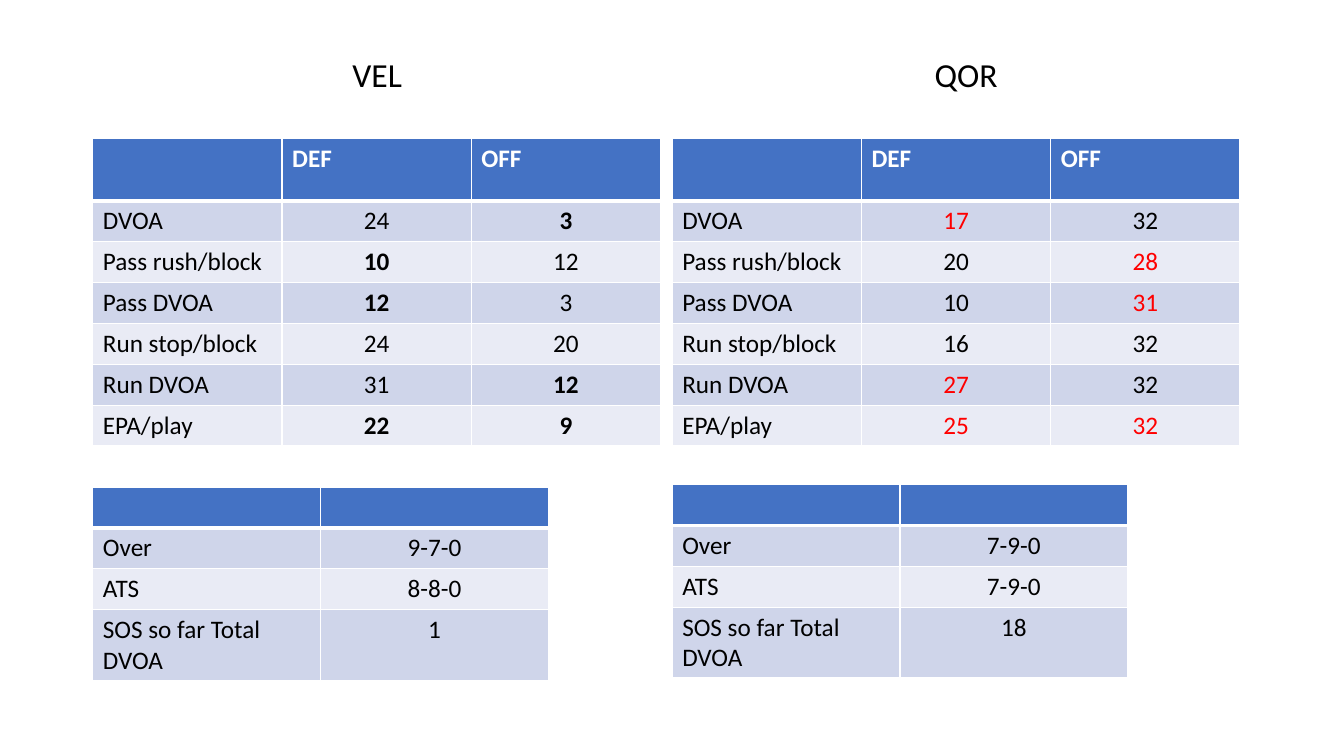
from lxml import etree
from pptx import Presentation
from pptx.dml.color import RGBColor
from pptx.enum.text import MSO_ANCHOR, PP_ALIGN
from pptx.oxml.ns import qn
from pptx.util import Cm, Pt

CENTER, LEFT = PP_ALIGN.CENTER, PP_ALIGN.LEFT
BOTTOM = MSO_ANCHOR.BOTTOM
FONT = "Calibri"
HUES = {"head": "4472C4", "odd": "CFD5EA", "even": "E9EBF5",
        "white": "FFFFFF", "black": "000000", "red": "FF0000"}

RANKS = ["DVOA", "Pass rush/block", "Pass DVOA", "Run stop/block",
         "Run DVOA", "EPA/play"]
MARKS = ["Over", "ATS", "SOS so far Total DVOA"]
TEAMS = [
    {"name": "VEL", "title": (2.34, 14.33), "left": 2.34, "low": 12.27,
     "def": ["24", "10", "12", "24", "31", "22"],
     "off": ["3", "12", "3", "20", "12", "9"],
     "bold": {(1, 2), (2, 1), (3, 1), (5, 2), (6, 1), (6, 2)}, "red": set(),
     "marks": ["9-7-0", "8-8-0", "1"]},
    {"name": "QOR", "title": (17.15, 14.4), "left": 16.94, "low": 12.21,
     "def": ["17", "20", "10", "16", "27", "25"],
     "off": ["32", "28", "31", "32", "32", "32"],
     "bold": set(), "red": {(1, 1), (2, 2), (3, 2), (5, 1), (6, 1), (6, 2)},
     "marks": ["7-9-0", "7-9-0", "18"]},
]


def color(name):
    return RGBColor.from_string(HUES[name])


def write(para, text, size, hue, bold=False):
    run = para.add_run()
    run.text = text
    run.font.name = FONT
    run.font.size = Pt(size)
    run.font.bold = bold
    run.font.color.rgb = color(hue)


def add_title(slide, team):
    left, width = team["title"]
    box = slide.shapes.add_textbox(Cm(left), Cm(0.23), Cm(width), Cm(2.29))
    frame = box.text_frame
    frame.word_wrap = True
    frame.vertical_anchor = BOTTOM
    para = frame.paragraphs[0]
    para.alignment = CENTER
    para.line_spacing = 0.9
    para.space_before = Pt(10)
    write(para, team["name"], 24, "black")


def add_rule(cell):
    line = etree.Element(qn("a:lnB"), w=str(Pt(3)))
    fill = etree.SubElement(line, qn("a:solidFill"))
    etree.SubElement(fill, qn("a:srgbClr"), val=HUES["white"])
    cell._tc.get_or_add_tcPr().insert(0, line)


def add_grid(slide, rows, left, top, width, highs, bold=(), red=()):
    count = len(rows[0])
    grid = slide.shapes.add_table(len(rows), count, Cm(left), Cm(top),
                                  Cm(width * count), Cm(sum(highs))).table
    for col in grid.columns:
        col.width = Cm(width)
    for r, row in enumerate(rows):
        grid.rows[r].height = Cm(highs[r])
        for c, text in enumerate(row):
            cell = grid.cell(r, c)
            cell.fill.solid()
            band = "odd" if r % 2 else "even"
            cell.fill.fore_color.rgb = color(band if r else "head")
            if r == 0:
                add_rule(cell)
            para = cell.text_frame.paragraphs[0]
            para.alignment = CENTER if r and c else LEFT
            if text:
                spot = (r, c)
                hue = "red" if spot in red else "black" if r else "white"
                write(para, text, 18, hue, r == 0 or spot in bold)


def main():
    deck = Presentation()
    deck.slide_width, deck.slide_height = Cm(33.87), Cm(19.05)
    slide = deck.slides.add_slide(deck.slide_layouts[6])
    for team in TEAMS:
        add_title(slide, team)
        ranks = [("", "DEF", "OFF"), *zip(RANKS, team["def"], team["off"])]
        add_grid(slide, ranks, team["left"], 3.48, 4.77,
                 [1.58] + [1.03] * len(RANKS), team["bold"], team["red"])
        marks = [("", ""), *zip(MARKS, team["marks"])]
        add_grid(slide, marks, team["left"], team["low"], 5.74,
                 [1.03] * len(marks))
    deck.save("out.pptx")


if __name__ == "__main__":
    main()
